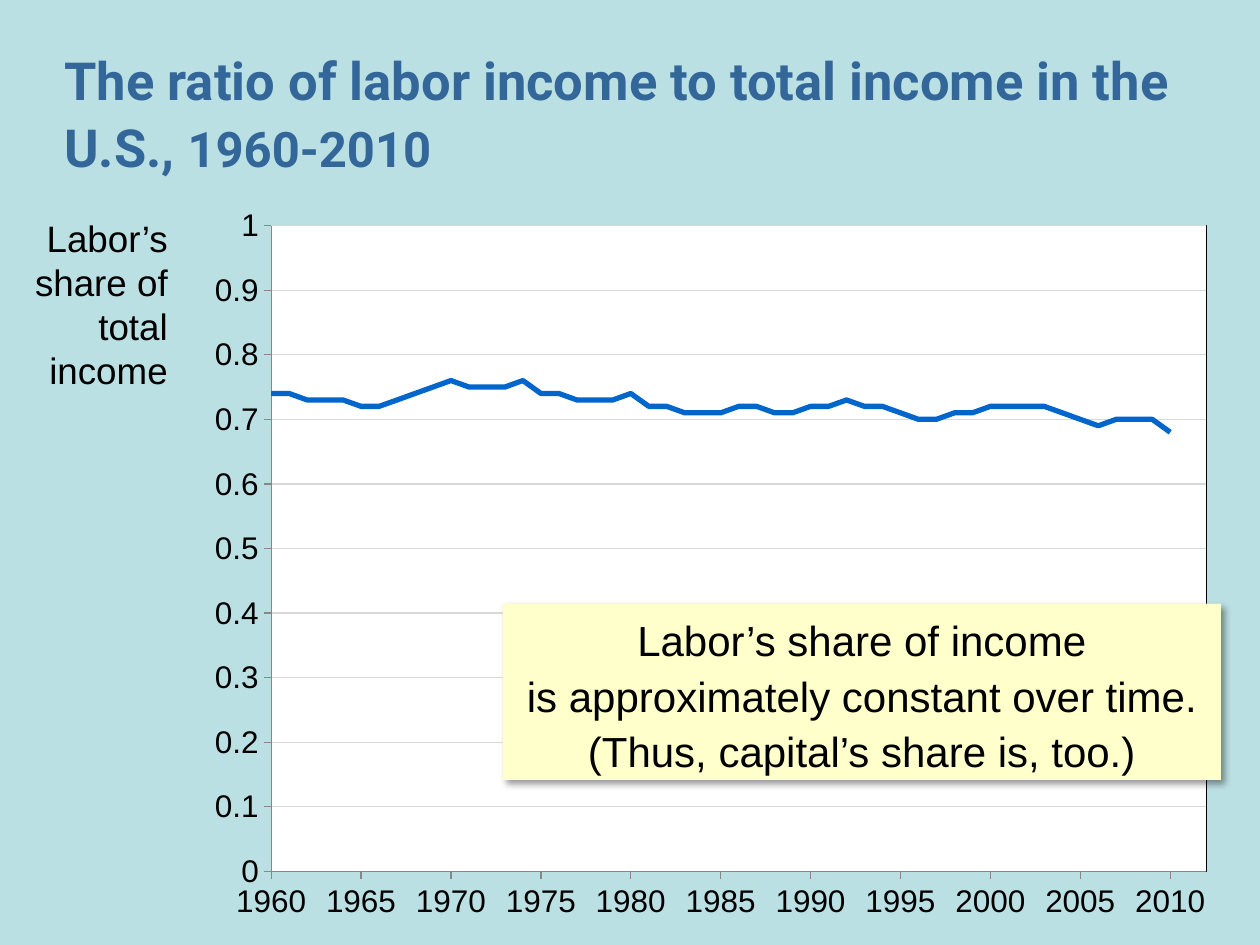
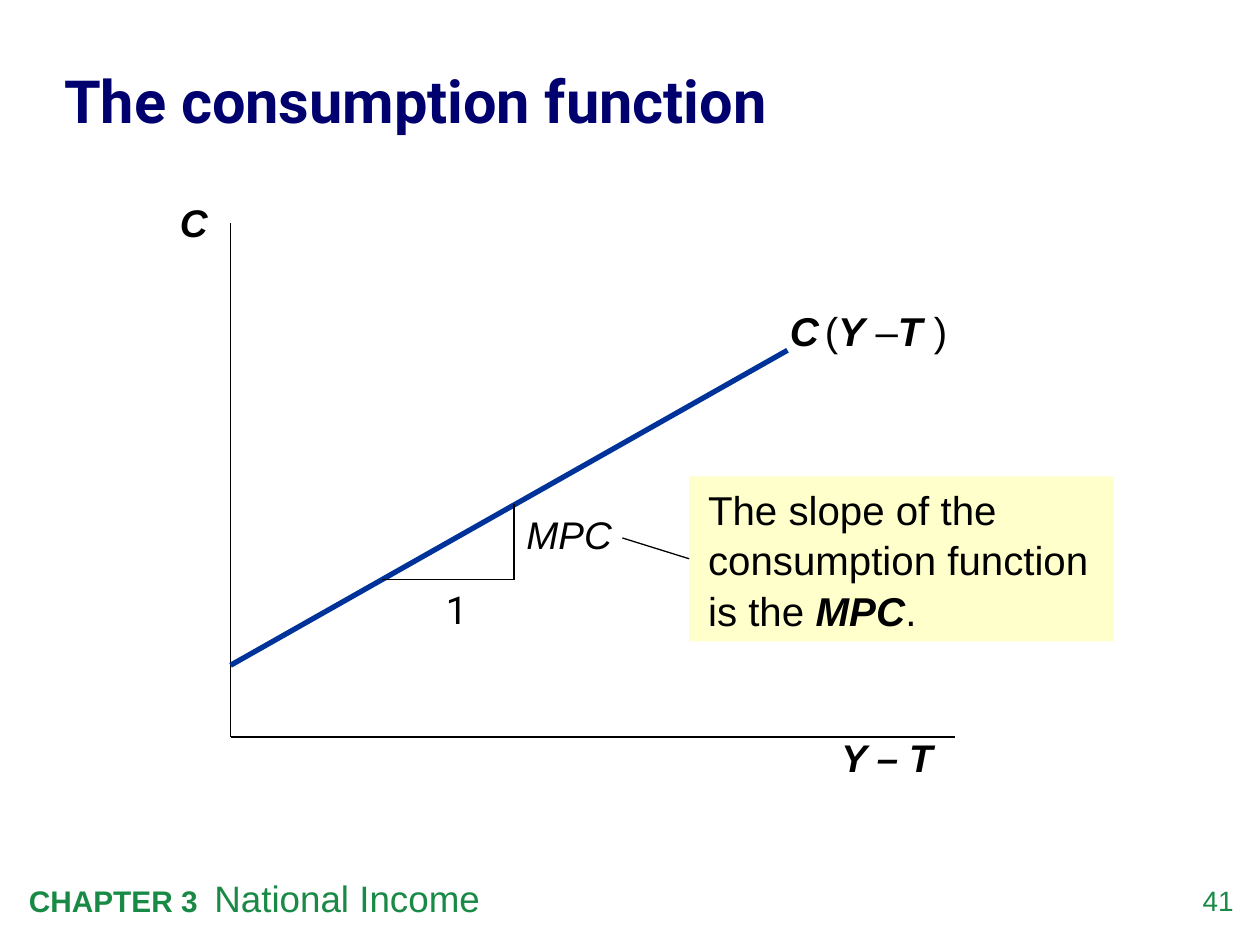
from dataclasses import dataclass

from lxml import etree
from pptx import Presentation
from pptx.chart.data import XyChartData
from pptx.dml.color import RGBColor
from pptx.enum.chart import XL_CHART_TYPE, XL_TICK_LABEL_POSITION, XL_TICK_MARK
from pptx.enum.shapes import MSO_CONNECTOR, MSO_SHAPE
from pptx.enum.text import MSO_ANCHOR, PP_ALIGN
from pptx.oxml import parse_xml
from pptx.oxml.ns import qn
from pptx.util import Inches, Pt

SCATTER = XL_CHART_TYPE.XY_SCATTER_LINES_NO_MARKERS
TICK_OUT, TICK_NONE = XL_TICK_MARK.OUTSIDE, XL_TICK_MARK.NONE
LABELS_LOW = XL_TICK_LABEL_POSITION.LOW
RECTANGLE = MSO_SHAPE.RECTANGLE
STRAIGHT = MSO_CONNECTOR.STRAIGHT
TOP, MIDDLE = MSO_ANCHOR.TOP, MSO_ANCHOR.MIDDLE
LEFT, CENTER, RIGHT = PP_ALIGN.LEFT, PP_ALIGN.CENTER, PP_ALIGN.RIGHT
LEFT_SIDE = 1

BLACK = RGBColor(0x00, 0x00, 0x00)
WHITE = RGBColor(0xFF, 0xFF, 0xFF)
PALE_TEAL = RGBColor(0xBB, 0xE0, 0xE3)
PALE_YELLOW = RGBColor(0xFF, 0xFF, 0xCC)
STEEL_BLUE = RGBColor(0x33, 0x66, 0x99)
NAVY = RGBColor(0x00, 0x00, 0x6E)
SHARE_BLUE = RGBColor(0x00, 0x66, 0xCC)
CURVE_BLUE = RGBColor(0x00, 0x33, 0x99)
GRID_GREY = RGBColor(0xD9, 0xD9, 0xD9)
AXIS_GREY = RGBColor(0x87, 0x87, 0x87)
FOOTER_GREEN = RGBColor(0x19, 0x8A, 0x46)

BODY_FONT, TITLE_FONT = "Arial", "Roboto"
SLIDE_WIDTH, SLIDE_HEIGHT = Inches(10), Inches(7.5)
COLUMN, ROW = SLIDE_WIDTH / 100, SLIDE_HEIGHT / 75
THIN, THICK = 0.75, 3
TITLE_ONLY = 5

FIRST_YEAR = 1960
LABOR_SHARES = [
    0.74, 0.74, 0.73, 0.73, 0.73, 0.72, 0.72, 0.73, 0.74, 0.75,
    0.76, 0.75, 0.75, 0.75, 0.76, 0.74, 0.74, 0.73, 0.73, 0.73,
    0.74, 0.72, 0.72, 0.71, 0.71, 0.71, 0.72, 0.72, 0.71, 0.71,
    0.72, 0.72, 0.73, 0.72, 0.72, 0.71, 0.70, 0.70, 0.71, 0.71,
    0.72, 0.72, 0.72, 0.72, 0.71, 0.70, 0.69, 0.70, 0.70, 0.70, 0.68,
]
DRAWING_NS = "http://schemas.openxmlformats.org/drawingml/2006/main"
CHART_NS = "http://schemas.openxmlformats.org/drawingml/2006/chart"


@dataclass
class Box:
    col: float
    row: float
    cols: float
    rows: float

    def inner(self, col, row, cols, rows):
        return Box(self.col + col, self.row + row, cols, rows)

    def point(self, col, row):
        return round((self.col + col) * COLUMN), round((self.row + row) * ROW)

    def frame(self):
        return (*self.point(0, 0), round(self.cols * COLUMN), round(self.rows * ROW))


@dataclass
class Words:
    text: str
    size: float
    bold: bool = False
    italic: bool = False


def write(paragraph, phrases, color=BLACK, font=BODY_FONT, align=LEFT, spacing=1.0):
    paragraph.alignment = align
    paragraph.line_spacing = spacing
    for phrase in phrases:
        run = paragraph.add_run()
        run.text = phrase.text
        run.font.name = font
        run.font.size = Pt(phrase.size)
        run.font.bold = phrase.bold
        run.font.italic = phrase.italic
        run.font.color.rgb = color


def set_margins(frame, horizontal, vertical):
    frame.margin_left = frame.margin_right = Inches(horizontal)
    frame.margin_top = frame.margin_bottom = Inches(vertical)


def add_label(slide, box, phrases, margins=(0.1, 0.05), **style):
    frame = slide.shapes.add_textbox(*box.frame()).text_frame
    frame.word_wrap = True
    set_margins(frame, *margins)
    write(frame.paragraphs[0], phrases, **style)


def add_note(slide, box, lines, side_margin=0.1, **style):
    note = slide.shapes.add_shape(RECTANGLE, *box.frame())
    note.shadow.inherit = False
    note.fill.solid()
    note.fill.fore_color.rgb = PALE_YELLOW
    note.line.fill.background()
    frame = note.text_frame
    frame.word_wrap = True
    frame.vertical_anchor = TOP
    set_margins(frame, side_margin, 0.05)
    for index, phrases in enumerate(lines):
        paragraph = frame.add_paragraph() if index else frame.paragraphs[0]
        write(paragraph, phrases, **style)
    return note


def cast_shadow(shape):
    effects = shape._element.spPr.find(qn("a:effectLst"))
    effects.append(parse_xml(
        f'<a:outerShdw xmlns:a="{DRAWING_NS}" blurRad="{Pt(4)}" dist="{Pt(3)}" '
        'dir="2700000" algn="tl" rotWithShape="0"><a:srgbClr val="000000">'
        '<a:alpha val="40000"/></a:srgbClr></a:outerShdw>'))


def add_line(slide, start, end, color=BLACK, width=THIN):
    line = slide.shapes.add_connector(STRAIGHT, *start, *end)
    line.line.color.rgb = color
    line.line.width = Pt(width)
    etree.SubElement(line._element.spPr, qn("a:effectLst"))
    return line


def new_slide(deck, background, box, title_phrases, title_color):
    slide = deck.slides.add_slide(deck.slide_layouts[TITLE_ONLY])
    slide.background.fill.solid()
    slide.background.fill.fore_color.rgb = background
    title = slide.shapes.title
    title.left, title.top, title.width, title.height = box.frame()
    frame = title.text_frame
    frame.word_wrap = True
    frame.vertical_anchor = MIDDLE
    set_margins(frame, 0, 0)
    write(frame.paragraphs[0], title_phrases, title_color, TITLE_FONT, spacing=1.05)
    return slide


def add_footer(slide, box, chapter, topic, number):
    add_label(slide, box.inner(0, 0, 81.8, 4.5),
              [Words(chapter, 17, bold=True), Words(topic, 21)], color=FOOTER_GREEN)
    add_label(slide, box.inner(91.1, 1.1, 5.5, 3.2), [Words(number, 16)],
              margins=(0, 0), color=FOOTER_GREEN, align=RIGHT)


def format_axis(axis, low, high, step):
    axis.minimum_scale, axis.maximum_scale, axis.major_unit = low, high, step
    axis.major_tick_mark, axis.minor_tick_mark = TICK_OUT, TICK_NONE
    axis.tick_label_position = LABELS_LOW
    axis.tick_labels.font.size = Pt(18)
    axis.tick_labels.number_format = "General"
    axis.tick_labels.number_format_is_linked = False
    axis.format.line.color.rgb = AXIS_GREY
    axis.format.line.width = Pt(THIN)


def place_plot(chart, x, y, width, height):
    space = chart._chartSpace
    space.find(qn("c:chart")).addnext(parse_xml(
        f'<c:spPr xmlns:c="{CHART_NS}" xmlns:a="{DRAWING_NS}"><a:noFill/>'
        '<a:ln><a:noFill/></a:ln></c:spPr>'))
    area = space.find(f".//{qn('c:plotArea')}")
    for old_layout in area.findall(qn("c:layout")):
        area.remove(old_layout)
    shares = "".join(f'<c:{name} val="{share}"/>' for name, share in
                     (("x", x), ("y", y), ("w", width), ("h", height)))
    area.insert(0, parse_xml(
        f'<c:layout xmlns:c="{CHART_NS}"><c:manualLayout><c:layoutTarget val="inner"/>'
        f'<c:xMode val="edge"/><c:yMode val="edge"/>{shares}'
        '</c:manualLayout></c:layout>'))
    area.append(parse_xml(
        f'<c:spPr xmlns:c="{CHART_NS}" xmlns:a="{DRAWING_NS}">'
        f'<a:solidFill><a:srgbClr val="{WHITE}"/></a:solidFill><a:ln w="{Pt(THIN)}">'
        f'<a:solidFill><a:srgbClr val="{BLACK}"/></a:solidFill></a:ln></c:spPr>'))


def add_share_chart(slide, box):
    data = XyChartData()
    points = data.add_series("Series 1")
    for year, share in enumerate(LABOR_SHARES, FIRST_YEAR):
        points.add_data_point(year, share)
    chart = slide.shapes.add_chart(SCATTER, *box.frame(), data).chart
    chart.has_legend = chart.has_title = False
    chart.font.name = BODY_FONT
    chart.font.size = Pt(10)
    chart.font.color.rgb = BLACK
    years, shares = chart.category_axis, chart.value_axis
    format_axis(years, FIRST_YEAR, 2012, 5)
    format_axis(shares, 0, 1, 0.1)
    years.has_major_gridlines = False
    shares.has_major_gridlines = True
    shares.major_gridlines.format.line.color.rgb = GRID_GREY
    shares.major_gridlines.format.line.width = Pt(THIN)
    plot = chart.plots[0]
    plot.vary_by_categories = False
    labor = plot.series[0]
    labor.smooth = False
    labor.format.line.color.rgb = SHARE_BLUE
    labor.format.line.width = Pt(THICK)
    place_plot(chart, 0.08, 0.02, 0.87, 0.88)


def build_labor_share(deck):
    slide = new_slide(deck, PALE_TEAL, Box(5.1, 2.4, 90.2, 12.9), [
        Words("The ratio of labor income to total income in the U.S., ", 30, bold=True),
        Words("1960-2010", 28, bold=True)], STEEL_BLUE)
    content = Box(1.3, 16.5, 98.7, 58.5)
    add_share_chart(slide, content.inner(13.4, 0, 85.3, 58.5))
    add_label(slide, content.inner(0, 0.1, 13, 15.7),
              [Words("Labor’s share of total income", 21)], align=RIGHT)
    lines = ("Labor’s share of income", "is approximately constant over time.",
             "(Thus, capital’s share is, too.)")
    conclusion = add_note(slide, content.inner(38.6, 31.4, 57, 14),
                          [[Words(line, 24)] for line in lines],
                          align=CENTER, spacing=1.1)
    cast_shadow(conclusion)


def add_slope_triangle(slide, box):
    corner = box.point(box.cols, box.rows)
    add_line(slide, box.point(0, box.rows), corner)
    add_line(slide, corner, box.point(box.cols, 0))
    add_label(slide, box.inner(4.1, box.rows, 4, 4.7), [Words("1", 22)], font=TITLE_FONT)
    add_label(slide, box.inner(box.cols, 0.1, 11.7, 4.7), [Words("MPC", 22, italic=True)])


def add_consumption_diagram(slide, box):
    origin = box.point(0, box.rows)
    add_line(slide, box.point(0, 0), origin)
    add_line(slide, origin, box.point(box.cols, box.rows))
    for name, place in (("C", (-5, -2.4, 5, 4.7)), ("Y – T", (47.5, 40.1, 11.7, 4.7))):
        add_label(slide, box.inner(*place), [Words(name, 22, bold=True, italic=True)])
    add_line(slide, box.point(0, 35.1), box.point(44.2, 10.1), CURVE_BLUE, THICK)
    add_label(slide, box.inner(43.4, 6.1, 15, 4.8), [
        Words("C", 23, True, True), Words(" ", 12, True, True), Words("(", 23),
        Words("Y ", 23, True, True), Words("–", 23), Words("T ", 23, True, True),
        Words(")", 23)])
    add_slope_triangle(slide, box.inner(12, 22.3, 10.5, 6))
    slope_note = add_note(slide, box.inner(36.4, 20.1, 33.7, 13.1), [[
        Words("The slope of the consumption function is the ", 23),
        Words("MPC", 23, True, True), Words(".", 23)]], side_margin=0.15, spacing=1.05)
    note_side = box.point(36.4, 26.65)
    pointer = add_line(slide, note_side, box.point(31.1, 25))
    pointer.begin_connect(slope_note, LEFT_SIDE)


def build_consumption_function(deck):
    slide = new_slide(deck, WHITE, Box(5.1, 2.6, 90.2, 10.3),
                      [Words("The consumption function", 34, bold=True)], NAVY)
    add_footer(slide, Box(1.3, 69, 96.6, 4.5), "CHAPTER 3  ", "National Income", "41")
    add_consumption_diagram(slide, Box(18.3, 17.7, 57.5, 40.8))


def main():
    deck = Presentation()
    deck.slide_width, deck.slide_height = SLIDE_WIDTH, SLIDE_HEIGHT
    build_labor_share(deck)
    build_consumption_function(deck)
    deck.save("out.pptx")


if __name__ == "__main__":
    main()
